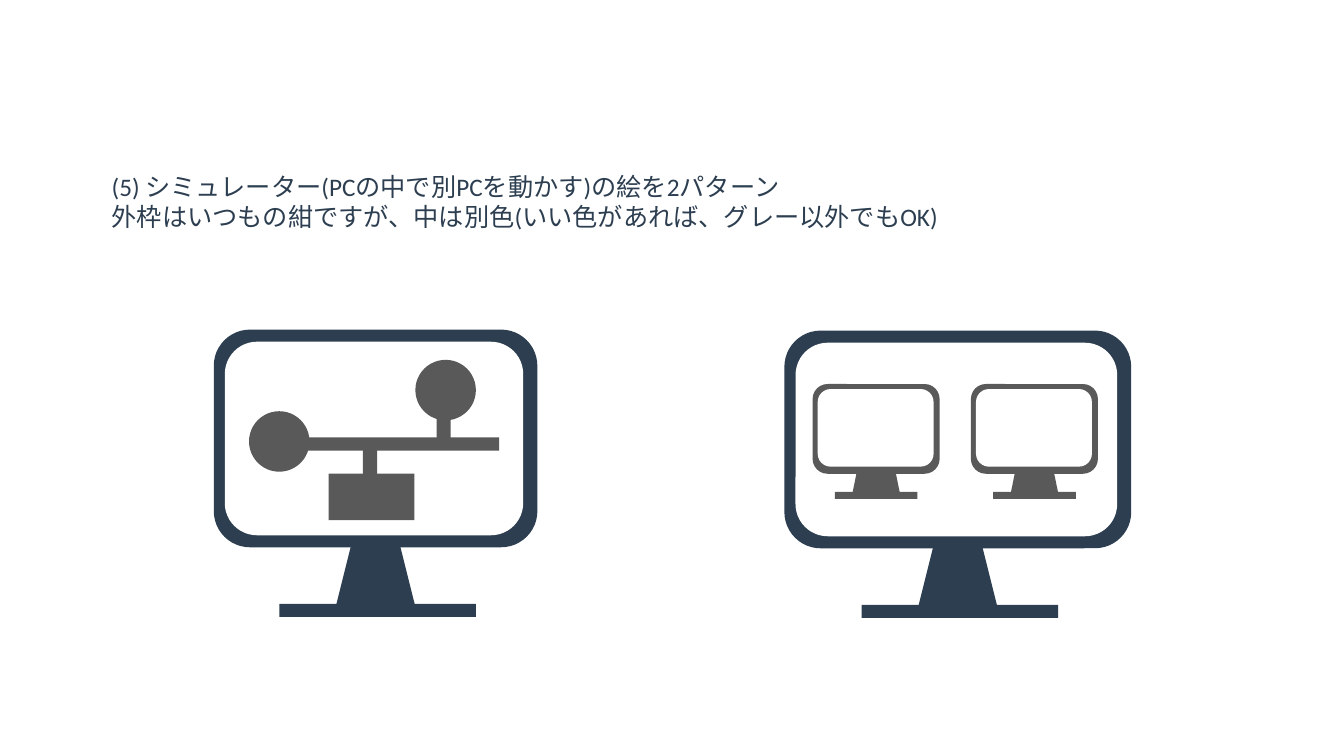
from dataclasses import dataclass

from pptx import Presentation
from pptx.dml.color import RGBColor
from pptx.enum.shapes import MSO_SHAPE
from pptx.enum.text import MSO_ANCHOR, MSO_AUTO_SIZE
from pptx.util import Inches, Pt

RECT = MSO_SHAPE.RECTANGLE
ROUNDED = MSO_SHAPE.ROUNDED_RECTANGLE
TRAPEZOID = MSO_SHAPE.TRAPEZOID
OVAL = MSO_SHAPE.OVAL

NAVY = RGBColor(0x2C, 0x3E, 0x50)
GREY = RGBColor(0x59, 0x59, 0x59)
WHITE = RGBColor(0xFF, 0xFF, 0xFF)


@dataclass
class MonitorSize:
    """Lengths in inches; tops are measured from the top of the frame."""
    height: float
    inset: tuple
    trim: tuple
    stand: tuple
    stand_top: float
    base: tuple
    base_top: float
    base_shift: float


LARGE = MonitorSize(2.16, (0.11, 0.12), (0.25, 0.24), (0.84, 0.81), 2.04,
                    (1.95, 0.13), 2.72, 0.02)
SMALL = MonitorSize(0.89, (0.05, 0.05), (0.11, 0.12), (0.49, 0.6), 0.53,
                    (0.82, 0.07), 1.07, 0)


class SlideBuilder:
    def __init__(self, slide):
        self.slide = slide
        self.font = {"name": "Calibri", "size": Pt(18)}

    def shape(self, kind, left, top, width, height, color):
        shape = self.slide.shapes.add_shape(
            kind, Inches(left), Inches(top), Inches(width), Inches(height))
        shape.shadow.inherit = False
        shape.fill.solid()
        shape.fill.fore_color.rgb = color
        shape.line.fill.background()

    def text(self, left, top, width, height, lines, color):
        box = self.slide.shapes.add_textbox(
            Inches(left), Inches(top), Inches(width), Inches(height))
        frame = box.text_frame
        frame_format = {"word_wrap": True, "vertical_anchor": MSO_ANCHOR.TOP,
                        "auto_size": MSO_AUTO_SIZE.SHAPE_TO_FIT_TEXT}
        for name, value in frame_format.items():
            setattr(frame, name, value)
        frame.text = "\n".join(lines)
        for paragraph in frame.paragraphs:
            for run in paragraph.runs:
                for name, value in self.font.items():
                    setattr(run.font, name, value)
                run.font.color.rgb = color

    def monitor(self, left, top, width, size, color):
        center = left + width / 2
        stand_width, stand_height = size.stand
        base_width, base_height = size.base
        self.shape(TRAPEZOID, center - stand_width / 2, top + size.stand_top,
                   stand_width, stand_height, color)
        self.shape(RECT, center - base_width / 2 + size.base_shift,
                   top + size.base_top, base_width, base_height, color)
        self.shape(ROUNDED, left, top, width, size.height, color)
        self.shape(ROUNDED, left + size.inset[0], top + size.inset[1],
                   width - size.trim[0], size.height - size.trim[1], WHITE)


def main():
    presentation = Presentation()
    presentation.slide_width = Inches(13.33)
    presentation.slide_height = Inches(7.5)
    builder = SlideBuilder(
        presentation.slides.add_slide(presentation.slide_layouts[6]))

    # Request text
    builder.text(1.01, 1.65, 8.48, 0.71, [
        "(5) シミュレーター(PCの中で別PCを動かす)の絵を2パターン",
        "外枠はいつもの紺ですが、中は別色(いい色があれば、グレー以外でもOK)",
    ], NAVY)

    # Pattern 1: a machine inside the monitor
    builder.monitor(2.12, 3.27, 3.21, LARGE, NAVY)
    machine = [
        (RECT, 3, 4.34, 1.95, 0.13),      # arm
        (OVAL, 2.47, 4.08, 0.6, 0.6),     # left ball
        (RECT, 3.6, 4.36, 0.14, 0.59),    # lower post
        (RECT, 4.33, 3.85, 0.14, 0.59),   # upper post
        (OVAL, 4.12, 3.57, 0.6, 0.6),     # upper ball
        (RECT, 3.26, 4.7, 0.85, 0.46),    # foot
    ]
    for kind, left, top, width, height in machine:
        builder.shape(kind, left, top, width, height, GREY)

    # Pattern 2: two PCs inside the monitor
    builder.monitor(7.78, 3.28, 3.44, LARGE, NAVY)
    for index in range(2):
        builder.monitor(8.06 + index * 1.57, 3.81, 1.26, SMALL, GREY)

    presentation.save("out.pptx")


if __name__ == "__main__":
    main()
